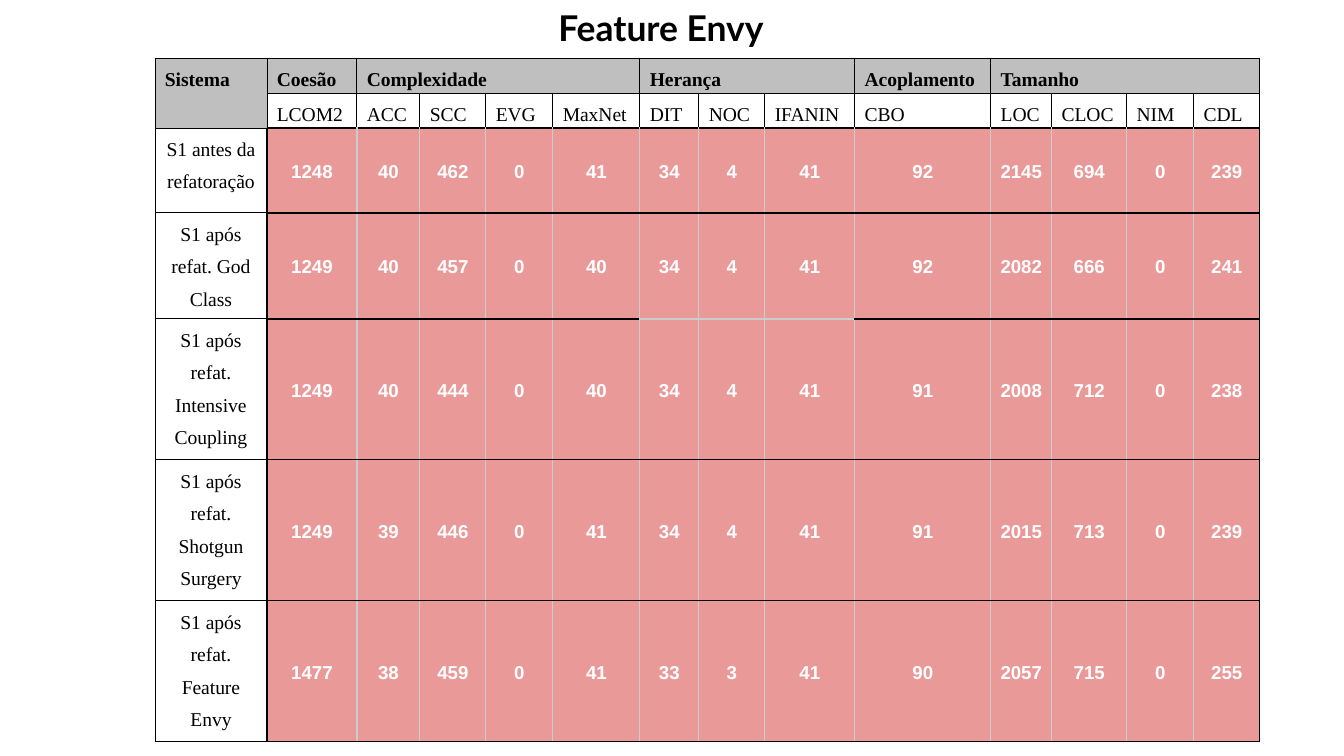
import pptx
import pptx.util
import pptx.dml.color
import pptx.enum.text
import pptx.oxml
import pptx.oxml.ns

PX = 914400 / 134.4
ALIGN = pptx.enum.text.PP_ALIGN
ANCHOR = pptx.enum.text.MSO_ANCHOR
SERIF = "Times New Roman"
BLACK, WHITE, GRAY, PALE, PINK = "000000", "FFFFFF", "BFBFBF", "CCCCCC", "EA9999"

COLS = [112, 90, 63, 66, 67, 87, 59, 66, 90, 136, 61, 75, 67, 66]
ROWS = [35, 35, 85, 106, 141, 141, 141]
# Heading, first column, number of columns
GROUPS = [
    ("Coesão", 1, 1), ("Complexidade", 2, 4), ("Herança", 6, 3),
    ("Acoplamento", 9, 1), ("Tamanho", 10, 4),
]
METRICS = ["LCOM2", "ACC", "SCC", "EVG", "MaxNet", "DIT", "NOC", "IFANIN",
           "CBO", "LOC", "CLOC", "NIM", "CDL"]
SYSTEMS = [
    ("S1 antes da refatoração",
     [1248, 40, 462, 0, 41, 34, 4, 41, 92, 2145, 694, 0, 239]),
    ("S1 após refat. God Class",
     [1249, 40, 457, 0, 40, 34, 4, 41, 92, 2082, 666, 0, 241]),
    ("S1 após refat. Intensive Coupling",
     [1249, 40, 444, 0, 40, 34, 4, 41, 91, 2008, 712, 0, 238]),
    ("S1 após refat. Shotgun Surgery",
     [1249, 39, 446, 0, 41, 34, 4, 41, 91, 2015, 713, 0, 239]),
    ("S1 após refat. Feature Envy",
     [1477, 38, 459, 0, 41, 33, 3, 41, 90, 2057, 715, 0, 255]),
]


def px(n):
    return pptx.util.Emu(round(n * PX))


def color(code):
    return pptx.dml.color.RGBColor.from_string(code)


def write(frame, text, font=SERIF, size=10.5, ink=BLACK, bold=False,
          align=ALIGN.CENTER, space=1.5):
    para = frame.paragraphs[0]
    para.alignment = align
    para.line_spacing = space
    run = para.add_run()
    run.text = text
    run.font.name = font
    run.font.size = pptx.util.Pt(size)
    run.font.bold = bold
    run.font.color.rgb = color(ink)


def pad(box, x, y):
    box.margin_left = box.margin_right = px(x)
    box.margin_top = box.margin_bottom = px(y)


def edge(cell, sides):
    """Draw borders; sides maps L, R, T and B to (colour, points)."""
    props = cell._tc.get_or_add_tcPr()
    for side in "LRTB":
        code, width = sides[side]
        props.append(pptx.oxml.parse_xml(
            f'<a:ln{side} {pptx.oxml.ns.nsdecls("a")} w="{pptx.util.Pt(width)}">'
            f'<a:solidFill><a:srgbClr val="{code}"/></a:solidFill></a:ln{side}>'))


def paint(cell, code):
    if code:
        cell.fill.solid()
        cell.fill.fore_color.rgb = color(code)
    else:
        cell.fill.background()


def label(cell, text="", fill=None, right=0.5, base=0.5, **form):
    """Fill a heading or system cell, set in black."""
    pad(cell, 10, 0)
    edge(cell, {"L": (BLACK, 0.5), "T": (BLACK, 0.5),
                "R": (BLACK, right), "B": (BLACK, base)})
    paint(cell, fill)
    if text:
        write(cell.text_frame, text, **form)


def value(cell, number, row, col):
    pad(cell, 4, 4)
    cell.vertical_anchor = ANCHOR.MIDDLE
    pale = 6 <= col <= 8  # Herança has a pale rule below its second system
    tones = {
        "L": BLACK if col == 1 else PALE,
        "R": BLACK if col == len(COLS) - 1 else PALE,
        "T": PALE if pale and row == 4 else BLACK,
        "B": PALE if pale and row == 3 else BLACK,
    }
    edge(cell, {side: (tone, 0.75) for side, tone in tones.items()})
    paint(cell, PINK)
    write(cell.text_frame, str(number), font="Arial", size=10, ink=WHITE,
          bold=True, space=1.15)


def heads(table):
    titles = {col: text for text, col, _ in GROUPS}
    titles[0] = "Sistema"
    for col in range(len(COLS)):
        label(table.cell(0, col), titles.get(col, ""), fill=GRAY,
              bold=True, align=ALIGN.JUSTIFY)
    label(table.cell(1, 0), fill=GRAY)
    for col, name in enumerate(METRICS, 1):
        label(table.cell(1, col), name, base=0.75, align=ALIGN.JUSTIFY)
    table.cell(0, 0).merge(table.cell(1, 0))
    for _, col, span in GROUPS:
        if span > 1:
            table.cell(0, col).merge(table.cell(0, col + span - 1))


def grid(slide):
    table = slide.shapes.add_table(
        len(ROWS), len(COLS), px(155), px(58), px(sum(COLS)), px(sum(ROWS))).table
    table.first_row = table.horz_banding = False
    for col, width in zip(table.columns, COLS):
        col.width = px(width)
    for row, height in zip(table.rows, ROWS):
        row.height = px(height)
    heads(table)
    for row, (name, numbers) in enumerate(SYSTEMS, 2):
        label(table.cell(row, 0), name, right=0.75)
        for col, number in enumerate(numbers, 1):
            value(table.cell(row, col), number, row, col)


def title(slide, text):
    frame = slide.shapes.add_textbox(px(-11), px(-7), px(1344), px(70)).text_frame
    frame.word_wrap = True
    pad(frame, 13, 13)
    write(frame, text, font="Lato", size=19, bold=True, space=1.0)


def main():
    deck = pptx.Presentation()
    deck.slide_width, deck.slide_height = px(1344), px(756)
    slide = deck.slides.add_slide(deck.slide_layouts[6])
    grid(slide)
    title(slide, "Feature Envy")
    deck.save("out.pptx")


if __name__ == "__main__":
    main()
